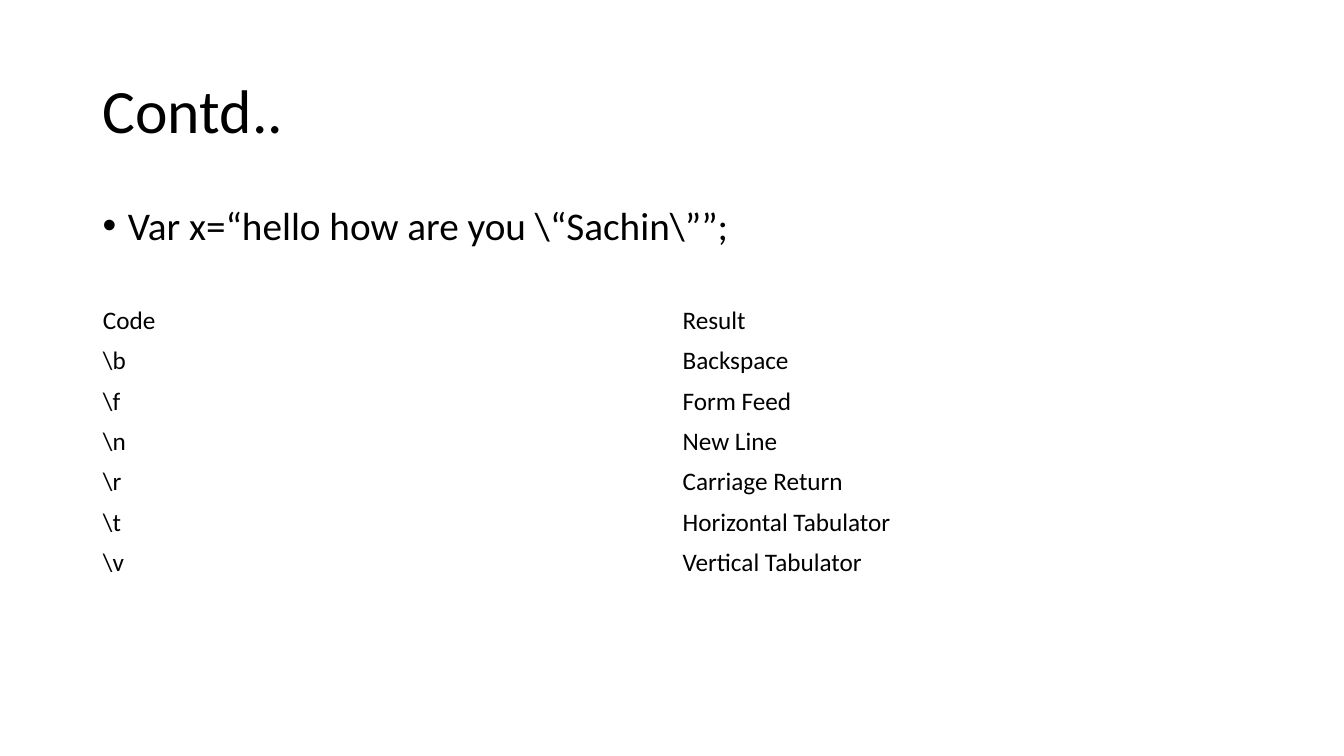
from dataclasses import dataclass

from lxml.etree import SubElement
from pptx import Presentation
from pptx.dml.color import RGBColor as Color
from pptx.enum.text import MSO_ANCHOR as Anchor
from pptx.oxml.ns import qn
from pptx.util import Inches, Pt


@dataclass(frozen=True)
class Theme:
    font: str = "Calibri"
    ink: Color = Color(0, 0, 0)
    paper: Color = Color(255, 255, 255)
    title: int = 44
    body: int = 28
    cell: int = 18


THEME = Theme()
LEFT, WIDTH = 0.92, 11.5
ROW = 0.4

CODES = [
    ("Code", "Result"),
    (r"\b", "Backspace"),
    (r"\f", "Form Feed"),
    (r"\n", "New Line"),
    (r"\r", "Carriage Return"),
    (r"\t", "Horizontal Tabulator"),
    (r"\v", "Vertical Tabulator"),
]


def write(frame, text, size):
    """Fill a text frame with one styled paragraph and return it."""
    frame.text = text
    para = frame.paragraphs[0]
    font = para.runs[0].font
    font.name, font.size = THEME.font, Pt(size)
    font.color.rgb = THEME.ink
    return para


def add_text(slide, top, height, text, size, anchor):
    box = slide.shapes.add_textbox(
        Inches(LEFT), Inches(top), Inches(WIDTH), Inches(height))
    frame = box.text_frame
    frame.word_wrap = True
    frame.vertical_anchor = anchor
    para = write(frame, text, size)
    para.line_spacing = 0.9
    return para


def add_bullet(para, indent):
    props = para._p.get_or_add_pPr()
    props.set("marL", str(Inches(indent)))
    props.set("indent", str(-Inches(indent)))
    SubElement(props, qn("a:buFont")).set("typeface", "Arial")
    SubElement(props, qn("a:buChar")).set("char", "•")


def add_grid(slide, top, rows):
    count = len(rows)
    table = slide.shapes.add_table(
        count, len(rows[0]), Inches(LEFT), Inches(top),
        Inches(WIDTH), Inches(ROW * count)).table
    table.first_row = table.horz_banding = False
    for r, row in enumerate(rows):
        for c, text in enumerate(row):
            cell = table.cell(r, c)
            cell.fill.background()
            cell.vertical_anchor = Anchor.MIDDLE
            write(cell.text_frame, text, THEME.cell)


def main():
    deck = Presentation()
    deck.slide_width, deck.slide_height = Inches(13.33), Inches(7.5)
    slide = deck.slides.add_slide(deck.slide_layouts[6])
    fill = slide.background.fill
    fill.solid()
    fill.fore_color.rgb = THEME.paper

    # Title
    add_text(slide, 0.4, 1.45, "Contd..", THEME.title, Anchor.MIDDLE)

    # Example line
    line = add_text(slide, 2, 4.76, r"Var x=“hello how are you \“Sachin\””;",
                    THEME.body, Anchor.TOP)
    line.space_before = Pt(10)
    add_bullet(line, 0.25)

    # Escape codes
    add_grid(slide, 2.98, CODES)

    deck.save("out.pptx")


if __name__ == "__main__":
    main()
